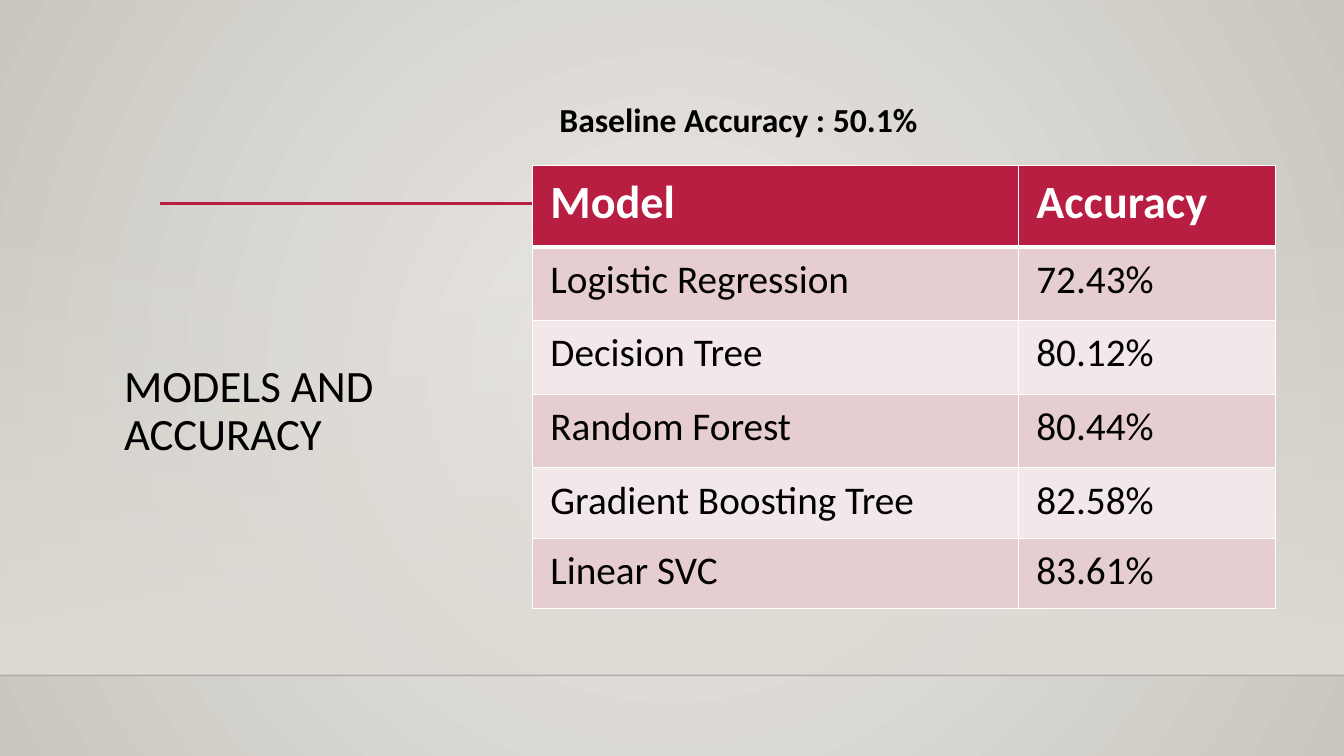
from lxml.etree import SubElement
from pptx import Presentation
from pptx.dml.color import RGBColor
from pptx.enum.shapes import MSO_CONNECTOR, MSO_SHAPE
from pptx.enum.text import MSO_ANCHOR, MSO_AUTO_SIZE, PP_ALIGN
from pptx.oxml import parse_xml
from pptx.oxml.ns import nsdecls, qn
from pptx.util import Inches, Pt

# Content
TITLE = "MODELS AND ACCURACY"
BASELINE = "Baseline Accuracy : 50.1%"
ROWS = [
    ("Model", "Accuracy"),
    ("Logistic Regression", "72.43%"),
    ("Decision Tree", "80.12%"),
    ("Random Forest", "80.44%"),
    ("Gradient Boosting Tree", "82.58%"),
    ("Linear SVC", "83.61%"),
]
COLUMN_WIDTHS = [4.82, 2.55]
ROW_HEIGHTS = [0.81, 0.73, 0.73, 0.73, 0.7, 0.7]
COLORS = {
    "accent": "B71E42", "white": "FFFFFF", "text": "000000",
    "band_dark": "E6CDCF", "band_light": "F3E8E9",
    "center": "ECEAE7", "edge": "CAC7C1", "wall": "DFDBD5", "floor_line": "000001",
}
FONT = "Calibri"
WIDTH, HEIGHT, FLOOR = 13.33, 7.5, 6.7


def write(frame, text, size, color="text", bold=False):
    para = frame.paragraphs[0]
    para.alignment = PP_ALIGN.LEFT
    span = para.add_run()
    span.text = text
    span.font.name = FONT
    span.font.size = Pt(size)
    span.font.bold = bold
    span.font.color.rgb = RGBColor.from_string(COLORS[color])
    return para


def gradient(stops, direction):
    """Build a gradient fill from (position, color, opacity) stops in percent."""
    parts = "".join(
        f'<a:gs pos="{position * 1000}"><a:srgbClr val="{COLORS[color]}">'
        f'<a:alpha val="{opacity * 1000}"/></a:srgbClr></a:gs>'
        for position, color, opacity in stops)
    return parse_xml(f'<a:gradFill {nsdecls("a")} rotWithShape="1">'
                     f'<a:gsLst>{parts}</a:gsLst>{direction}</a:gradFill>')


def add_rule(left, right, top, color, weight):
    rule = page.shapes.add_connector(
        MSO_CONNECTOR.STRAIGHT, Inches(left), Inches(top), Inches(right), Inches(top))
    rule.line.color.rgb = RGBColor.from_string(COLORS[color])
    rule.line.width = Pt(weight)
    SubElement(rule._element.spPr, qn("a:effectLst"))
    return rule


def add_borders(cell, weights):
    properties = cell._tc.get_or_add_tcPr()
    for index, (side, weight) in enumerate(weights.items()):
        properties.insert(index, parse_xml(
            f'<a:{side} {nsdecls("a")} w="{Pt(weight)}"><a:solidFill>'
            f'<a:srgbClr val="{COLORS["white"]}"/></a:solidFill></a:{side}>'))


deck = Presentation()
deck.slide_width, deck.slide_height = Inches(WIDTH), Inches(HEIGHT)
page = deck.slides.add_slide(deck.slide_layouts[5])

# Background
page.background.fill.solid()
solid = page.background._cSld.bg.bgPr.find(qn("a:solidFill"))
solid.getparent().replace(solid, gradient(
    [(0, "center", 100), (100, "edge", 100)],
    '<a:path path="circle"><a:fillToRect l="50000" t="50000" r="50000" b="50000"/></a:path>'))

# Wall that fades in towards the floor
wall_top = 2.21
wall = page.shapes.add_shape(MSO_SHAPE.RECTANGLE, 0, Inches(wall_top),
                             Inches(WIDTH), Inches(FLOOR - wall_top))
wall.shadow.inherit = False
wall.line.fill.background()
wall._element.spPr.find(qn("a:prstGeom")).addnext(gradient(
    [(0, "wall", 0), (100, "wall", 100)], '<a:lin ang="5400000" scaled="0"/>'))

# Rules
floor_rule = add_rule(0, WIDTH, FLOOR, "floor_line", 1)
floor_color = floor_rule._element.spPr.find(".//" + qn("a:srgbClr"))
SubElement(floor_color, qn("a:alpha"), val="20000")
add_rule(1.59, 12.1, 2.02, "accent", 2.5)

# Title, in front of the wall
title = page.shapes.title
page.shapes._spTree.append(title._element)
title.left, title.top = Inches(1.13), Inches(1.26)
title.width, title.height = Inches(4.15), Inches(3.36)
title.text_frame.word_wrap = True
title.text_frame.auto_size = MSO_AUTO_SIZE.NONE
title.text_frame.vertical_anchor = MSO_ANCHOR.BOTTOM
write(title.text_frame, TITLE, 32).line_spacing = 0.9

# Accuracy table
table = page.shapes.add_table(
    len(ROWS), len(COLUMN_WIDTHS), Inches(5.28), Inches(1.64),
    Inches(sum(COLUMN_WIDTHS)), Inches(sum(ROW_HEIGHTS))).table
for column, width in zip(table.columns, COLUMN_WIDTHS):
    column.width = Inches(width)
for row_index, (values, height) in enumerate(zip(ROWS, ROW_HEIGHTS)):
    table.rows[row_index].height = Inches(height)
    header = row_index == 0
    fill = "accent" if header else "band_dark" if row_index % 2 else "band_light"
    for column_index, value in enumerate(values):
        cell = table.cell(row_index, column_index)
        cell.margin_left = cell.margin_right = Inches(0.18)
        cell.margin_top = cell.margin_bottom = Inches(0.09)
        cell.fill.solid()
        cell.fill.fore_color.rgb = RGBColor.from_string(COLORS[fill])
        write(cell.text_frame, value, 33 if header else 28,
              color="white" if header else "text", bold=header)
        add_borders(cell, {"lnL": 1, "lnR": 1, "lnT": 3 if row_index == 1 else 1,
                           "lnB": 3 if header else 1})

# Baseline note
note = page.shapes.add_textbox(Inches(5.45), Inches(0.93), Inches(4.58), Inches(0.5))
note.text_frame.word_wrap = True
note.text_frame.auto_size = MSO_AUTO_SIZE.SHAPE_TO_FIT_TEXT
write(note.text_frame, BASELINE, 24, bold=True)

deck.save("out.pptx")
